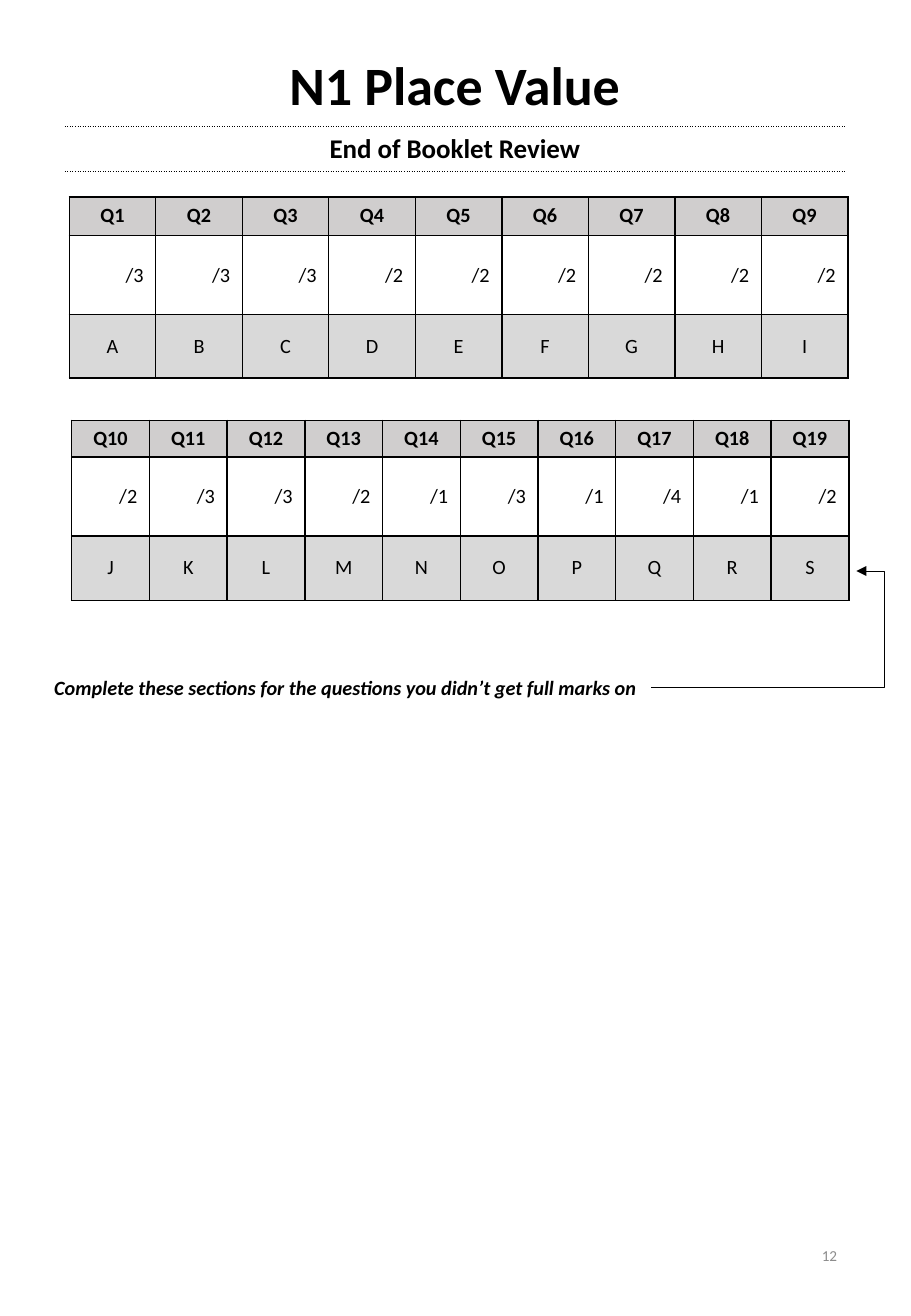
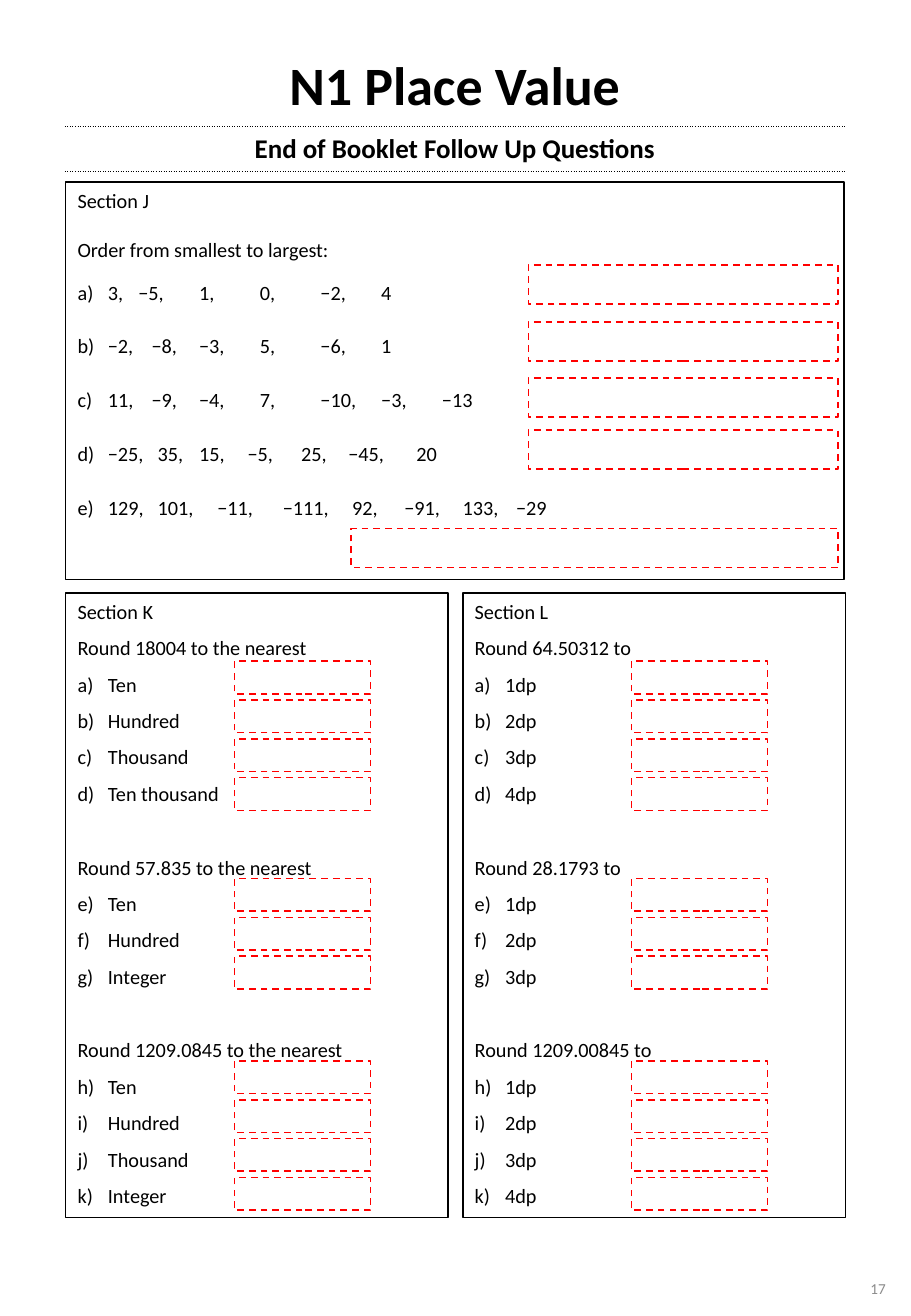
from lxml.etree import SubElement
from pptx import Presentation
from pptx.dml.color import RGBColor
from pptx.enum.dml import MSO_LINE
from pptx.enum.shapes import MSO_CONNECTOR, MSO_SHAPE
from pptx.enum.text import MSO_ANCHOR, PP_ALIGN
from pptx.oxml.ns import qn
from pptx.util import Inches, Pt

FONT = "Calibri"
BLACK, WHITE, RED = "000000", "FFFFFF", "FF0000"
HEADING_GREY, LETTER_GREY, NUMBER_GREY = "D0CECE", "D9D9D9", "8C8C8C"
LEFT, FULL_WIDTH = 0.54, 6.41
INDENT = 0.25
BLANK_LINE = 22  # points left between groups of questions

ORDERING_ROWS = [
    ("3, −5, 1, 0, −2, 4", [0.5, 1, 1.5, 2, 2.5]),
    ("−2, −8, −3, 5, −6, 1", [0.61, 1, 1.5, 2, 2.5]),
    ("11, −9, −4, 7, −10, −3, −13", [0.61, 1, 1.5, 2, 2.5, 3]),
    ("−25, 35, 15, −5, 25, −45, 20", [0.66, 1, 1.4, 1.84, 2.23, 2.79]),
    ("129, 101, −11, −111, 92, −91, 133, −29",
     [0.66, 1.15, 1.69, 2.26, 2.69, 3.17, 3.61]),
]
SECTION_K = [
    ("Round 18004 to the nearest", ["Ten", "Hundred", "Thousand", "Ten thousand"]),
    ("Round 57.835 to the nearest", ["Ten", "Hundred", "Integer"]),
    ("Round 1209.0845 to the nearest", ["Ten", "Hundred", "Thousand", "Integer"]),
]
SECTION_L = [
    ("Round 64.50312 to", ["1dp", "2dp", "3dp", "4dp"]),
    ("Round 28.1793 to", ["1dp", "2dp", "3dp"]),
    ("Round 1209.00845 to", ["1dp", "2dp", "3dp", "4dp"]),
]


def colour(hex_code):
    return RGBColor.from_string(hex_code)


def write(para, text, size=12, bold=False, italic=False, ink=BLACK, align=PP_ALIGN.LEFT):
    para.text = text
    para.alignment = align
    for span in para.runs:
        font = span.font
        font.name, font.size = FONT, Pt(size)
        font.bold, font.italic = bold, italic
        font.color.rgb = colour(ink)


def add_text(slide, left, top, width, height, text, anchor=MSO_ANCHOR.TOP, **style):
    box = slide.shapes.add_textbox(Inches(left), Inches(top), Inches(width), Inches(height))
    box.text_frame.word_wrap = True
    box.text_frame.vertical_anchor = anchor
    write(box.text_frame.paragraphs[0], text, **style)


def add_rectangle(slide, left, top, width, height, ink=BLACK, dash=None):
    shape = slide.shapes.add_shape(
        MSO_SHAPE.RECTANGLE, Inches(left), Inches(top), Inches(width), Inches(height))
    shape.shadow.inherit = False
    shape.fill.background()
    shape.line.color.rgb = colour(ink)
    shape.line.width = Pt(1)
    if dash:
        shape.line.dash_style = dash
    return shape


def add_answer_box(slide, left, top, width, height):
    add_rectangle(slide, left, top, width, height, RED, MSO_LINE.DASH)


def add_section(slide, left, top, width, height, name):
    """Draw a framed section and return its text frame, headed by its name."""
    frame = add_rectangle(slide, left, top, width, height).text_frame
    frame.word_wrap = True
    frame.vertical_anchor = MSO_ANCHOR.TOP
    write(frame.paragraphs[0], name)
    return frame


def add_line(frame, text, space_before=0, line_spacing=1.5):
    para = frame.add_paragraph()
    write(para, text)
    para.line_spacing = line_spacing
    para.space_before = Pt(space_before)
    return para


def add_question(frame, text, start=1, space_before=0, stops=()):
    """Add a lettered line whose list begins at the letter numbered start."""
    para = add_line(frame, text, space_before)
    props = para._p.get_or_add_pPr()
    props.set("marL", str(Inches(INDENT)))
    props.set("indent", str(-Inches(INDENT)))
    SubElement(props, qn("a:buFont"), typeface="+mj-lt")
    SubElement(props, qn("a:buAutoNum"), type="alphaLcParenR", startAt=str(start))
    if stops:
        tabs = SubElement(props, qn("a:tabLst"))
        for stop in stops:
            SubElement(tabs, qn("a:tab"), pos=str(Inches(stop)), algn="l")


def set_borders(cell, left, right, top, bottom):
    """Each side is a pair of colour and preset dash."""
    props = cell._tc.get_or_add_tcPr()
    for side, (ink, dash) in zip("LRTB", (left, right, top, bottom)):
        line = SubElement(props, qn(f"a:ln{side}"), w=str(Pt(1)))
        fill = SubElement(line, qn("a:solidFill"))
        SubElement(fill, qn("a:srgbClr"), val=ink)
        SubElement(line, qn("a:prstDash"), val=dash)


def fill_cell(cell, fill, anchor=MSO_ANCHOR.MIDDLE):
    cell.fill.solid()
    cell.fill.fore_color.rgb = colour(fill)
    cell.vertical_anchor = anchor


def add_grid(slide, left, top, width, row_heights, columns):
    table = slide.shapes.add_table(
        len(row_heights), columns, Inches(left), Inches(top),
        Inches(width), Inches(sum(row_heights))).table
    table.first_row = table.horz_banding = False
    for row, height in zip(table.rows, row_heights):
        row.height = Inches(height)
    for column in table.columns:
        column.width = Inches(width / columns)
    return table


def add_header(slide, subtitle):
    table = add_grid(slide, LEFT, 0.39, FULL_WIDTH, [0.65, 0.37, 0.35], 1)
    plain, dotted = (WHITE, "solid"), (BLACK, "sysDot")
    rows = [("N1 Place Value", 32, plain, dotted),
            (subtitle, 16, dotted, dotted),
            ("", 12, dotted, plain)]
    for index, (text, size, above, below) in enumerate(rows):
        cell = table.cell(index, 0)
        set_borders(cell, plain, plain, above, below)
        fill_cell(cell, WHITE)
        if text:
            write(cell.text_frame.paragraphs[0], text, size, bold=True, align=PP_ALIGN.CENTER)
        else:
            cell.margin_top = cell.margin_bottom = 0


def add_mark_table(slide, left, top, width, row_heights, first_question, marks, letters):
    table = add_grid(slide, left, top, width, row_heights, len(marks))
    solid = (BLACK, "solid")
    for column, (mark, letter) in enumerate(zip(marks, letters)):
        entries = [
            (f"Q{first_question + column}", HEADING_GREY, PP_ALIGN.CENTER, MSO_ANCHOR.TOP),
            (f"/{mark}", WHITE, PP_ALIGN.RIGHT, MSO_ANCHOR.MIDDLE),
            (letter, LETTER_GREY, PP_ALIGN.CENTER, MSO_ANCHOR.MIDDLE),
        ]
        for row, (text, fill, align, anchor) in enumerate(entries):
            cell = table.cell(row, column)
            set_borders(cell, solid, solid, solid, solid)
            fill_cell(cell, fill, anchor)
            write(cell.text_frame.paragraphs[0], text, bold=row == 0, align=align)


def add_elbow_arrow(slide, start, end, bend):
    """Bend is the turning point as a share of the width, in 1/100000."""
    arrow = slide.shapes.add_connector(
        MSO_CONNECTOR.ELBOW, *(Inches(length) for length in (*start, *end)))
    arrow.line.color.rgb = colour(BLACK)
    arrow.line.width = Pt(0.5)
    SubElement(arrow.line._get_or_add_ln(), qn("a:tailEnd"), type="triangle")
    props = arrow._element.spPr
    SubElement(props, qn("a:effectLst"))
    guides = props.find(qn("a:prstGeom")).find(qn("a:avLst"))
    SubElement(guides, qn("a:gd"), name="adj1", fmla=f"val {bend}")


def add_page_number(slide, left, top, number):
    add_text(slide, left, top, 1.69, 0.58, number, MSO_ANCHOR.MIDDLE,
             size=9, ink=NUMBER_GREY, align=PP_ALIGN.RIGHT)


def add_ordering_section(slide):
    frame = add_section(slide, LEFT, 1.5, FULL_WIDTH, 3.27, "Section J")
    add_line(frame, "Order from smallest to largest:", 14.6, line_spacing=1)
    for index, (numbers, stops) in enumerate(ORDERING_ROWS):
        add_question(frame, numbers.replace(" ", "\t"),
                     space_before=10.3 if index else 3.7, stops=stops)
    for top in (2.18, 2.65, 3.11, 3.54):
        add_answer_box(slide, 4.35, top, 2.55, 0.32)
    add_answer_box(slide, 2.89, 4.35, 4.01, 0.32)


def add_rounding_section(slide, left, name, groups):
    frame = add_section(slide, left, 4.88, 3.15, 5.14, name)
    start = 1
    for (prompt, questions), first_top in zip(groups, (5.44, 7.23, 8.73)):
        add_line(frame, prompt, BLANK_LINE if start > 1 else 0)
        for index, question in enumerate(questions):
            add_question(frame, question, start)
            add_answer_box(slide, left + 1.39, first_top + 0.32 * index, 1.12, 0.27)
        start += len(questions)


def add_review_slide(deck):
    slide = deck.slides.add_slide(deck.slide_layouts[6])
    add_header(slide, "End of Booklet Review")
    add_page_number(slide, 5.3, 10.04, "12")
    add_mark_table(slide, 0.57, 1.62, 6.41, [0.32, 0.65, 0.52], 1, "333222222", "ABCDEFGHI")
    add_mark_table(slide, 0.59, 3.46, 6.4, [0.3, 0.65, 0.53], 10, "2332131412", "JKLMNOPQRS")
    add_text(slide, 0.31, 5.51, 5.07, 0.3,
             "Complete these sections for the questions you didn’t get full marks on",
             bold=True, italic=True, align=PP_ALIGN.CENTER)
    add_elbow_arrow(slide, (5.36, 5.66), (7.05, 4.7), 113500)


def add_follow_up_slide(deck):
    slide = deck.slides.add_slide(deck.slide_layouts[6])
    add_header(slide, "End of Booklet Follow Up Questions")
    add_page_number(slide, 5.7, 10.31, "17")
    add_ordering_section(slide)
    add_rounding_section(slide, LEFT, "Section K", SECTION_K)
    add_rounding_section(slide, 3.81, "Section L", SECTION_L)


def main():
    deck = Presentation()
    deck.slide_width, deck.slide_height = Inches(7.5), Inches(10.83)
    add_review_slide(deck)
    add_follow_up_slide(deck)
    deck.save("out.pptx")


if __name__ == "__main__":
    main()
